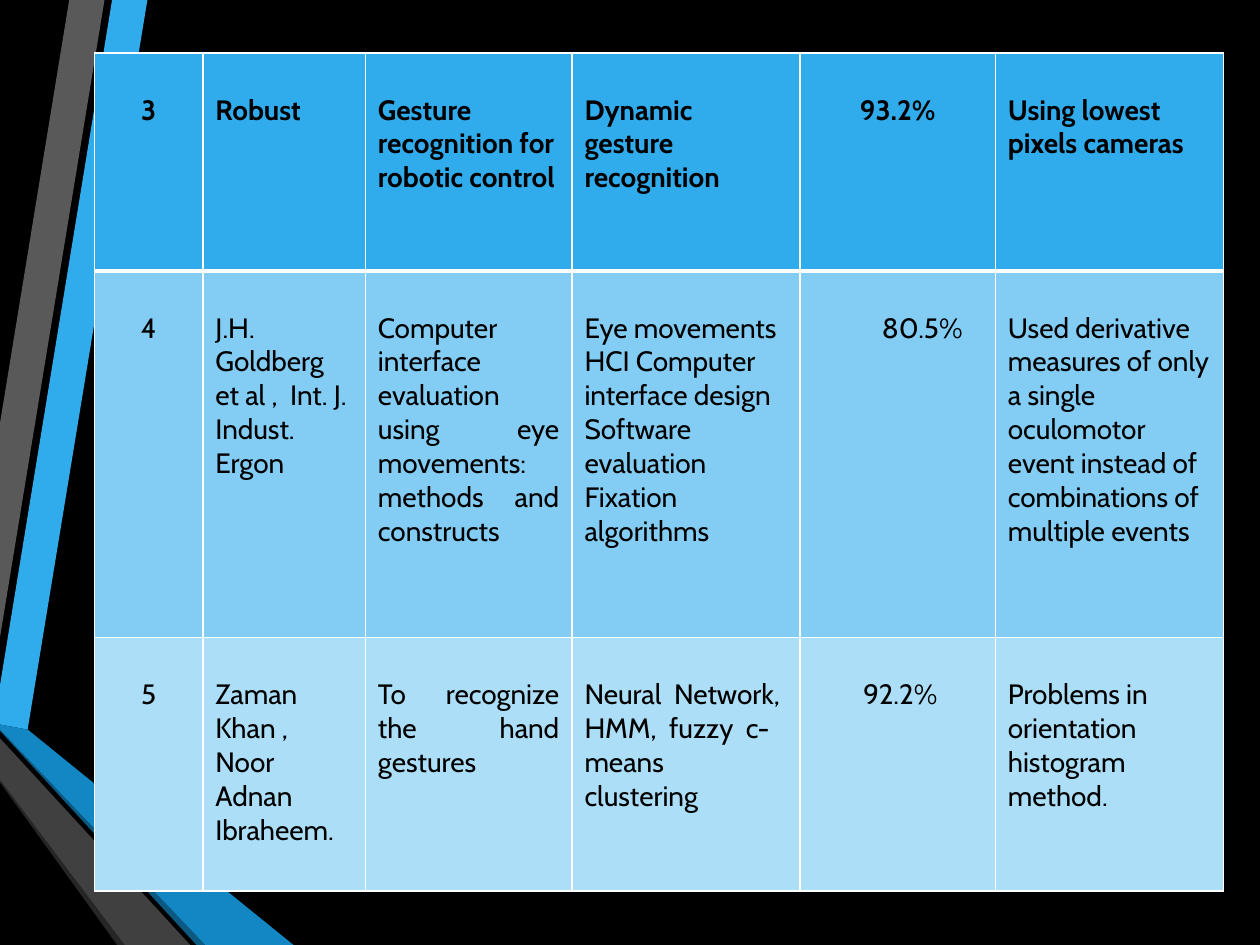
from lxml.etree import SubElement
from pptx import Presentation
from pptx.dml.color import RGBColor
from pptx.enum.text import PP_ALIGN
from pptx.oxml.ns import qn
from pptx.util import Inches, Pt

FONT = "Cabin"
COLUMN_WIDTHS = [0.86, 1.29, 1.64, 1.81, 1.55, 1.81]
ROW_HEIGHTS = [1.73, 2.91, 2.01]
ROW_FILLS = ["30ACEC", "83CDF4", "ACDEF7"]
ACCURACY_COLUMN = 4
ACCURACY_INDENTS = [None, 0.65, 0.5]  # None means centred

STUDIES = [
    ["3", "Robust", "Gesture recognition for robotic control",
     "Dynamic gesture recognition", "93.2%", "Using lowest pixels cameras"],
    ["4", "J.H. Goldberg et al ,  Int. J. Indust. Ergon",
     "Computer interface evaluation using eye movements: methods and constructs",
     "Eye movements HCI Computer interface design Software evaluation "
     "Fixation algorithms", "80.5%",
     "Used derivative measures of only a single oculomotor event instead of "
     "combinations of multiple events"],
    ["5", "Zaman Khan , Noor Adnan Ibraheem.", "To recognize the hand gestures",
     "Neural  Network,  HMM,  fuzzy  c-means  clustering", "92.2%",
     "Problems in orientation histogram method."],
]

RIBBONS = [
    ("30ACEC", [(0, 5.44), (0, 5.75), (0.22, 5.79), (1.17, 0), (0.89, 0)]),
    ("595959", [(0.83, 0), (0.55, 0), (0, 3.36), (0, 5.06)]),
    ("262626", [(0, 6.19), (0, 6.21), (0.93, 7.5), (0.99, 7.5)]),
    ("0C5A82", [(0, 5.79), (0, 5.8), (1.56, 7.5), (1.63, 7.5)]),
    ("1287C3", [(0, 5.79), (1.63, 7.5), (2.33, 7.5), (0.22, 5.79), (0, 5.75)]),
    ("404040", [(0, 6.19), (0.99, 7.5), (1.51, 7.5), (0, 5.86)]),
]


def paint(fill, color):
    fill.solid()
    fill.fore_color.rgb = RGBColor.from_string(color)


def add_ribbon(page, color, points):
    corners = [(Inches(x), Inches(y)) for x, y in points]
    builder = page.shapes.build_freeform(*corners[0])
    builder.add_line_segments(corners[1:], close=True)
    ribbon = builder.convert_to_shape()
    ribbon.shadow.inherit = False
    paint(ribbon.fill, color)
    ribbon.line.fill.background()


def set_border(cell, side, color, width):
    properties = cell._tc.get_or_add_tcPr()
    line = SubElement(properties, qn(f"a:ln{side}"), w=str(Pt(width)))
    SubElement(SubElement(line, qn("a:solidFill")), qn("a:srgbClr"), val=color)


def alignment_for(row, column):
    if column == 0 or (column == ACCURACY_COLUMN and ACCURACY_INDENTS[row] is None):
        return PP_ALIGN.CENTER
    if column == 2 and row > 0:
        return PP_ALIGN.JUSTIFY
    return PP_ALIGN.LEFT


def fill_cell(cell, text, row, column):
    thick_sides = {0: "B", 1: "T"}
    for side in "LRTB":
        set_border(cell, side, "FFFFFF", 3 if thick_sides.get(row) == side else 1)
    paint(cell.fill, ROW_FILLS[row])
    cell.margin_top = Inches(0.32)
    if column == ACCURACY_COLUMN and ACCURACY_INDENTS[row]:
        cell.margin_left = Inches(ACCURACY_INDENTS[row])
    cell.text = text
    para = cell.text_frame.paragraphs[0]
    para.alignment = alignment_for(row, column)
    para.font.name = FONT
    para.font.size = Pt(16)
    para.font.bold = row == 0
    para.font.color.rgb = RGBColor.from_string("000000")


def add_study_table(page):
    frame = page.shapes.add_table(
        len(ROW_HEIGHTS), len(COLUMN_WIDTHS), Inches(0.75), Inches(0.42),
        Inches(sum(COLUMN_WIDTHS)), Inches(sum(ROW_HEIGHTS)))
    table = frame.table
    table.horz_banding = False
    for column, width in zip(table.columns, COLUMN_WIDTHS):
        column.width = Inches(width)
    for row, height in zip(table.rows, ROW_HEIGHTS):
        row.height = Inches(height)
    for row, study in enumerate(STUDIES):
        for column, text in enumerate(study):
            fill_cell(table.cell(row, column), text, row, column)


def main():
    deck = Presentation()
    deck.slide_width, deck.slide_height = Inches(10), Inches(7.5)
    page = deck.slides.add_slide(deck.slide_layouts[6])
    paint(page.background.fill, "000000")
    for color, points in RIBBONS:
        add_ribbon(page, color, points)
    add_study_table(page)
    deck.save("out.pptx")


if __name__ == "__main__":
    main()
